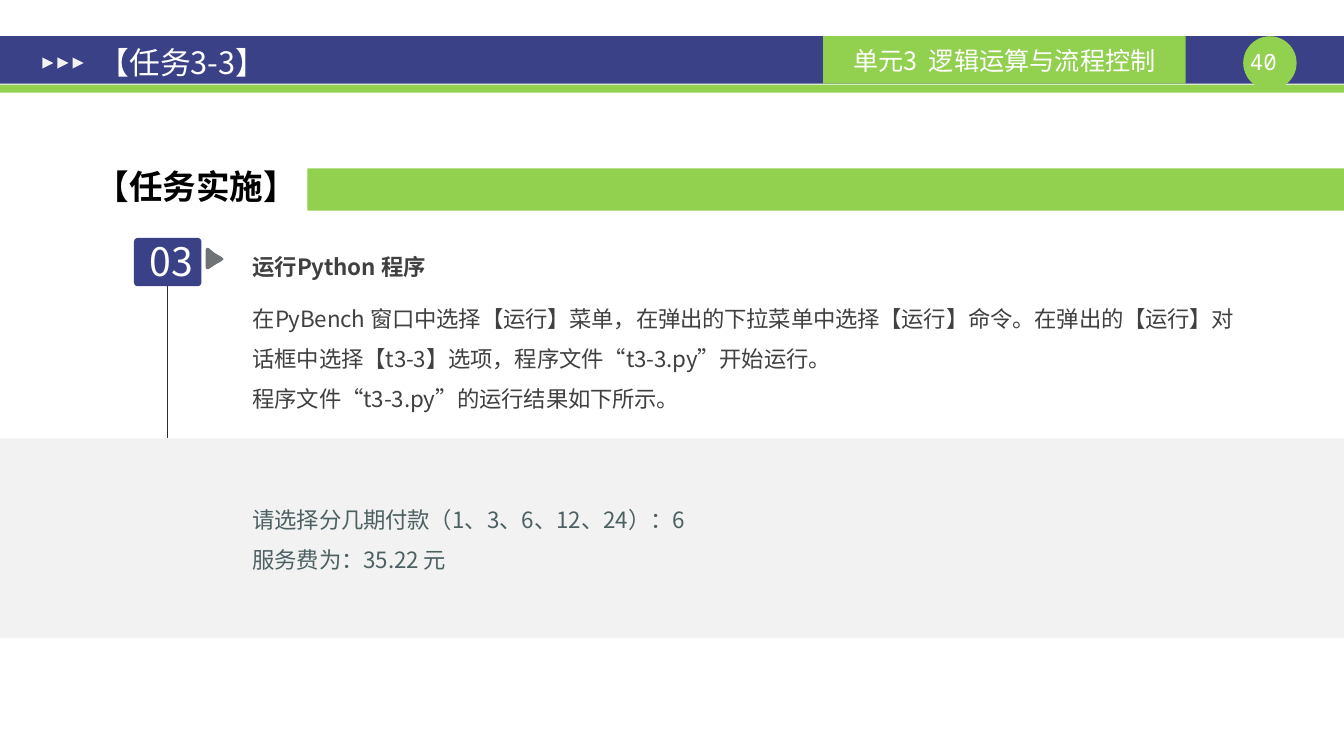
from dataclasses import dataclass
from lxml import etree
from pptx import Presentation
from pptx.dml.color import RGBColor
from pptx.enum.shapes import MSO_CONNECTOR as Connector, MSO_SHAPE as Shape
from pptx.enum.text import MSO_ANCHOR as Anchor, PP_ALIGN as Align
from pptx.oxml.ns import qn
from pptx.util import Inches, Pt

TASK = "【任务3-3】"
UNIT = "单元3  逻辑运算与流程控制"
PAGE = "40"
SECTION = "【任务实施】"
STEP = "03"
STEP_TITLE = ["运行Python 程序"]
STEP_BODY = [
    "在PyBench 窗口中选择【运行】菜单，在弹出的下拉菜单中选择【运行】命令。"
    "在弹出的【运行】对话框中选择【t3-3】选项，程序文件“t3-3.py”开始运行。",
    "程序文件“t3-3.py”的运行结果如下所示。",
]
RESULT = ["请选择分几期付款（1、3、6、12、24）：6", "服务费为：35.22 元"]


@dataclass(frozen=True)
class Theme:
    font: str = "Noto Sans CJK SC"
    mono: str = "Noto Sans Mono"
    blue: str = "3A4187"
    green: str = "92D050"
    pale: str = "F2F2F2"
    gray: str = "6F7376"
    line: str = "2E2C2C"
    white: str = "FFFFFF"
    black: str = "000000"
    body: str = "404040"
    result: str = "4C6062"
    text_size: int = 16
    unit_size: int = 18
    task_size: int = 22
    section_size: int = 24
    step_size: int = 28


THEME = Theme()
WIDTH, HEIGHT = 13.34, 7.5
HEADER_TOP, HEADER_HEIGHT = 0.36, 0.47
BADGE_LEFT, BADGE_TOP, BADGE_WIDTH = 1.33, 2.36, 0.67
PANEL_TOP = 4.35
TEXT_LEFT, TEXT_WIDTH = 2.41, 10.09
BODY_TOP, LINE_PITCH, LINES_TO_RESULT = 2.84, 0.4, 5
POINTER = [
    (2.2, 2.55), (2.13, 2.51), (2.07, 2.46), (2.05, 2.46), (2.04, 2.48),
    (2.04, 2.65), (2.05, 2.67), (2.07, 2.67), (2.13, 2.63), (2.2, 2.59),
    (2.22, 2.57),
]


def paint(shape, color):
    shape.shadow.inherit = False
    shape.fill.solid()
    shape.fill.fore_color.rgb = RGBColor.from_string(color)
    shape.line.fill.background()
    return shape


def add_block(slide, kind, left, top, width, height, color):
    box = map(Inches, (left, top, width, height))
    return paint(slide.shapes.add_shape(kind, *box), color)


def write(shape, lines, size=THEME.text_size, color=THEME.white, font=THEME.font,
          bold=False, align=Align.LEFT, anchor=Anchor.TOP, insets=(0.1, 0.05),
          spacing=None, tracking=None):
    frame = shape.text_frame
    frame.word_wrap = True
    frame.vertical_anchor = anchor
    frame.margin_left = frame.margin_right = Inches(insets[0])
    frame.margin_top = frame.margin_bottom = Inches(insets[1])
    for index, line in enumerate(lines):
        paragraph = frame.add_paragraph() if index else frame.paragraphs[0]
        paragraph.alignment = align
        if spacing:
            paragraph.line_spacing = spacing
        run = paragraph.add_run()
        run.text = line
        run.font.size = Pt(size)
        run.font.bold = bold
        run.font.name = font
        run.font.color.rgb = RGBColor.from_string(color)
        properties = run.font._element
        east_asian = etree.Element(qn("a:ea"), typeface=font)
        properties.find(qn("a:latin")).addnext(east_asian)
        if tracking:
            properties.set("spc", str(tracking))


def add_text(slide, left, top, width, height, lines, **style):
    box = map(Inches, (left, top, width, height))
    write(slide.shapes.add_textbox(*box), lines, **style)


def add_header(slide):
    add_block(slide, Shape.RECTANGLE, 0, HEADER_TOP, WIDTH, HEADER_HEIGHT, THEME.blue)
    add_block(slide, Shape.RECTANGLE, 0, 0.84, WIDTH, 0.08, THEME.green)
    add_block(slide, Shape.OVAL, 12.34, HEADER_TOP, 0.53, 0.53, THEME.green)
    add_text(slide, 12.34, 0.48, 0.4, 0.27, [PAGE], font=THEME.mono,
             align=Align.CENTER, insets=(0, 0))
    unit = add_block(slide, Shape.RECTANGLE, 8.17, HEADER_TOP, 3.6, HEADER_HEIGHT,
                     THEME.green)
    write(unit, [UNIT], size=THEME.unit_size, align=Align.CENTER, anchor=Anchor.MIDDLE)
    for index in range(3):
        marker = add_block(slide, Shape.ISOSCELES_TRIANGLE, 0.42 + 0.15 * index, 0.57,
                           0.11, 0.11, THEME.pale)
        marker.rotation = 90
    add_text(slide, 0.85, 0.4, 7.2, 0.44, [TASK], size=THEME.task_size,
             anchor=Anchor.MIDDLE, insets=(0.13, 0.07))


def add_step_badge(slide):
    center = BADGE_LEFT + BADGE_WIDTH / 2
    ends = map(Inches, (center, 2.59, center, PANEL_TOP))
    stem = slide.shapes.add_connector(Connector.STRAIGHT, *ends)
    stem.line.color.rgb = RGBColor.from_string(THEME.line)
    stem.line.width = Pt(1)
    etree.SubElement(stem._element.spPr, qn("a:effectLst"))

    points = [(Inches(x), Inches(y)) for x, y in POINTER]
    outline = slide.shapes.build_freeform(*points[0])
    outline.add_line_segments(points[1:], close=True)
    paint(outline.convert_to_shape(), THEME.gray)

    badge = add_block(slide, Shape.ROUNDED_RECTANGLE, BADGE_LEFT, BADGE_TOP,
                      BADGE_WIDTH, 0.48, THEME.blue)
    badge.adjustments[0] = 0.08
    add_text(slide, 1.31, 2.31, 0.78, 0.57, [STEP], size=THEME.step_size,
             align=Align.CENTER)


def add_content(slide):
    add_block(slide, Shape.RECTANGLE, 0, PANEL_TOP, WIDTH, 1.98, THEME.pale)
    add_step_badge(slide)
    add_block(slide, Shape.RECTANGLE, 3.05, 1.67, WIDTH - 3.05, 0.42, THEME.green)
    add_text(slide, 0.85, 1.6, 2.62, 0.5, [SECTION], size=THEME.section_size,
             color=THEME.black, bold=True)
    result_top = BODY_TOP + LINES_TO_RESULT * LINE_PITCH
    passages = [
        (2.33, 0.46, STEP_TITLE, THEME.body, True),
        (BODY_TOP, 1.3, STEP_BODY, THEME.body, False),
        (result_top, 0.9, RESULT, THEME.result, False),
    ]
    for top, height, lines, color, bold in passages:
        add_text(slide, TEXT_LEFT, top, TEXT_WIDTH, height, lines, color=color,
                 bold=bold, spacing=1.5, tracking=-10)


def main():
    presentation = Presentation()
    presentation.slide_width = Inches(WIDTH)
    presentation.slide_height = Inches(HEIGHT)
    slide = presentation.slides.add_slide(presentation.slide_layouts[6])
    add_header(slide)
    add_content(slide)
    presentation.save("out.pptx")


if __name__ == "__main__":
    main()
